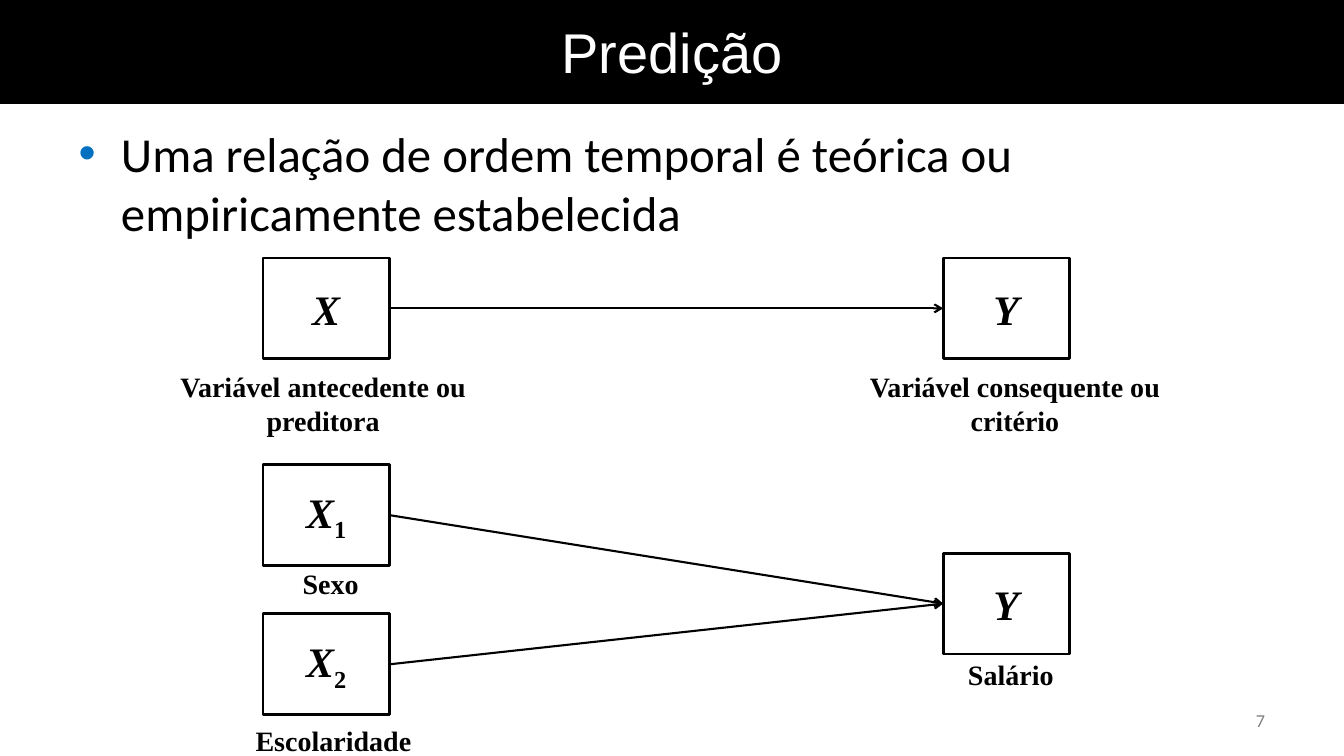
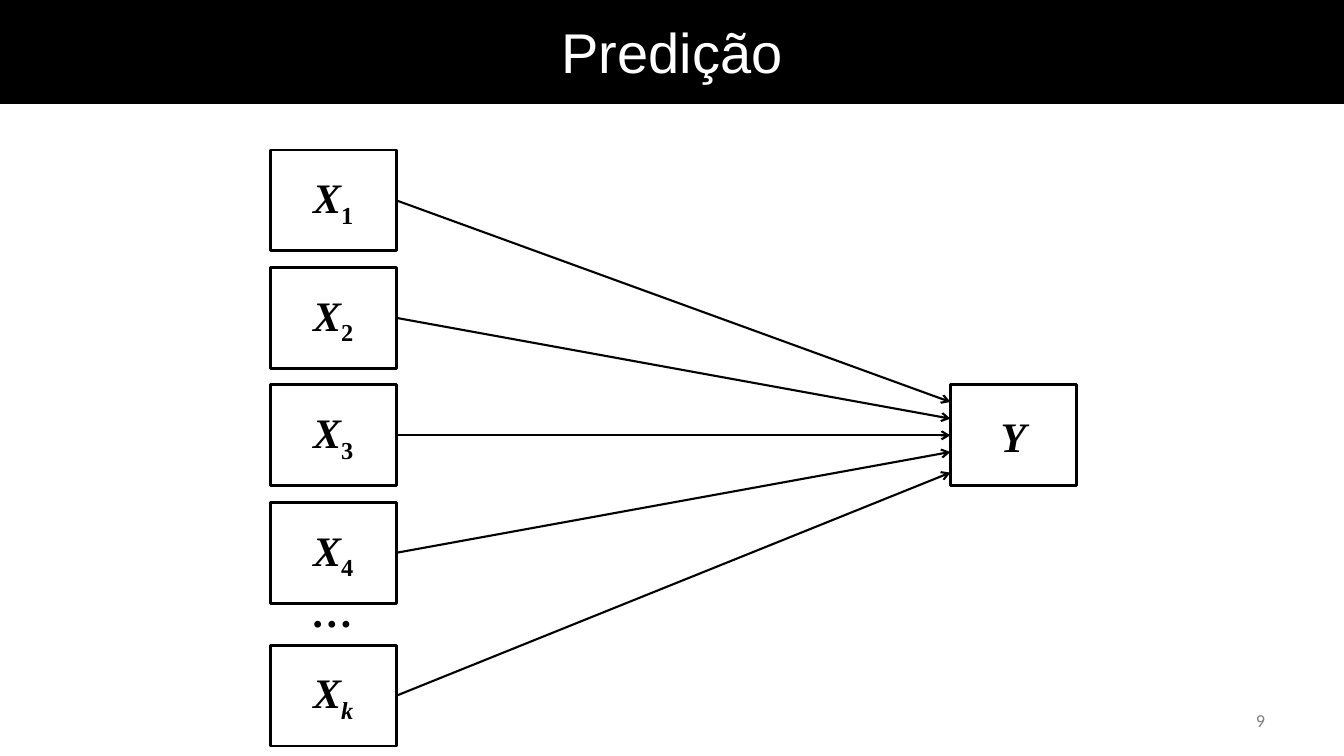
"""Build two slides about prediction: path diagrams of predictors and a criterion."""
from dataclasses import dataclass

import pptx
import pptx.dml.color
import pptx.enum.shapes
import pptx.enum.text
import pptx.oxml
import pptx.oxml.ns
import pptx.util

Cm = pptx.util.Cm
Pt = pptx.util.Pt
ALIGN = pptx.enum.text.PP_ALIGN
ANCHOR = pptx.enum.text.MSO_ANCHOR
NAMESPACE = pptx.oxml.ns.nsdecls("a")


@dataclass(frozen=True)
class Theme:
    """Colours, fonts and sizes that the slides share; lengths are in cm."""
    ink: str = "000000"
    paper: str = "FFFFFF"
    bullet: str = "0070C0"
    muted: str = "808080"
    title_font: str = "Arial"
    body_font: str = "Calibri"
    diagram_font: str = "Times New Roman"
    title_size: float = 40
    body_size: float = 34.9
    variable_size: float = 30
    label_size: float = 20
    number_size: float = 13
    box_line: float = 2
    arrow_line: float = 1.5
    slide_width: float = 33.87
    slide_height: float = 19.05
    band_height: float = 2.59
    box_width: float = 3.18
    box_height: float = 2.54


THEME = Theme()


def colour(code):
    """Turn a hex code into a colour."""
    return pptx.dml.color.RGBColor.from_string(code)


def format_run(run, font, size, code, bold=False, italic=False):
    """Give a run its font, size, colour and style."""
    run.font.name = font
    run.font.size = Pt(size)
    run.font.color.rgb = colour(code)
    run.font.bold = bold
    run.font.italic = italic


def format_variable(run, italic=True):
    """Give a run the style of a variable name."""
    format_run(run, THEME.diagram_font, THEME.variable_size, THEME.ink, True, italic)


def add_rectangle(slide, left, top, width, height, fill=None):
    """Add an outlined rectangle with centred text, filled if a colour is given."""
    shape = slide.shapes.add_shape(pptx.enum.shapes.MSO_SHAPE.RECTANGLE,
                                   Cm(left), Cm(top), Cm(width), Cm(height))
    shape.shadow.inherit = False
    if fill:
        shape.fill.solid()
        shape.fill.fore_color.rgb = colour(fill)
    else:
        shape.fill.background()
    shape.line.color.rgb = colour(THEME.ink)
    shape.line.width = Pt(THEME.box_line)
    shape.text_frame.vertical_anchor = ANCHOR.MIDDLE
    shape.text_frame.paragraphs[0].alignment = ALIGN.CENTER
    return shape


def add_text(slide, text, left, top, width, height, align=ALIGN.CENTER,
             anchor=ANCHOR.MIDDLE, wide_inset=False):
    """Add a wrapping text box and return its paragraph."""
    frame = slide.shapes.add_textbox(Cm(left), Cm(top), Cm(width), Cm(height)).text_frame
    frame.word_wrap = True
    frame.vertical_anchor = anchor
    if wide_inset:
        frame.margin_left = frame.margin_right = Cm(0.28)
        frame.margin_top = frame.margin_bottom = Cm(0.15)
    frame.text = text
    frame.paragraphs[0].alignment = align
    return frame.paragraphs[0]


def add_bullet(slide, text):
    """Add the bulleted statement below the title band."""
    paragraph = add_text(slide, text, 1.7, 2.97, 31.12, 15.67, ALIGN.LEFT,
                         ANCHOR.TOP, wide_inset=True)
    paragraph.space_before = Pt(7.2)
    format_run(paragraph.runs[0], THEME.body_font, THEME.body_size, THEME.ink)
    properties = paragraph._p.get_or_add_pPr()
    properties.set("marL", str(Cm(1.07)))
    properties.set("indent", str(-Cm(1.07)))
    for xml in (f'<a:buClr {NAMESPACE}><a:srgbClr val="{THEME.bullet}"/></a:buClr>',
                f'<a:buFont {NAMESPACE} typeface="Arial"/>',
                f'<a:buChar {NAMESPACE} char="•"/>'):
        properties.append(pptx.oxml.parse_xml(xml))


def add_label(slide, text, left, top, width, height):
    """Add a bold caption that explains a variable."""
    paragraph = add_text(slide, text, left, top, width, height)
    format_run(paragraph.runs[0], THEME.diagram_font, THEME.label_size, THEME.ink, True)


def add_variable(slide, left, top, name, index=""):
    """Add a variable box; numeric indices are upright, letters are italic."""
    box = add_rectangle(slide, left, top, THEME.box_width, THEME.box_height)
    paragraph = box.text_frame.paragraphs[0]
    paragraph.text = name
    format_variable(paragraph.runs[0])
    if index:
        subscript = paragraph.add_run()
        subscript.text = index
        format_variable(subscript, italic=not index.isdigit())
        subscript.font._element.set("baseline", "-25000")
    return box


def add_arrow(slide, source, target, offset=0):
    """Draw an arrow to the target's left edge, offset cm below its middle."""
    end_y = target.top + target.height // 2 + Cm(offset)
    arrow = slide.shapes.add_connector(
        pptx.enum.shapes.MSO_CONNECTOR.STRAIGHT,
        source.left + source.width, source.top + source.height // 2, target.left, end_y)
    arrow.line.color.rgb = colour(THEME.ink)
    arrow.line.width = Pt(THEME.arrow_line)
    arrow.line._get_or_add_ln().append(
        pptx.oxml.parse_xml(f'<a:tailEnd {NAMESPACE} type="arrow"/>'))
    arrow._element.spPr.append(pptx.oxml.parse_xml(f"<a:effectLst {NAMESPACE}/>"))


def add_base_slide(presentation, title, number):
    """Add a blank slide with the title band and the page number."""
    slide = presentation.slides.add_slide(presentation.slide_layouts[6])
    band = add_rectangle(slide, 0, 0, THEME.slide_width, THEME.band_height, THEME.ink)
    paragraph = band.text_frame.paragraphs[0]
    paragraph.text = title
    format_run(paragraph.runs[0], THEME.title_font, THEME.title_size, THEME.paper)
    paragraph = add_text(slide, str(number), 24.26, 17.65, 7.9, 1.02, ALIGN.RIGHT,
                         wide_inset=True)
    format_run(paragraph.runs[0], THEME.body_font, THEME.number_size, THEME.muted)
    return slide


def build_simple_prediction(presentation):
    """Show one predictor, then two predictors of salary."""
    slide = add_base_slide(presentation, "Predição", 7)
    add_bullet(slide, "Uma relação de ordem temporal é teórica ou "
                      "empiricamente estabelecida")
    predictor_left, criterion_left = 6.63, 23.77

    predictor = add_variable(slide, predictor_left, 6.5, "X")
    criterion = add_variable(slide, criterion_left, 6.5, "Y")
    add_arrow(slide, predictor, criterion)
    add_label(slide, "Variável antecedente ou preditora", 3.84, 9.32, 8.61, 1.7)
    add_label(slide, "Variável consequente ou critério", 21.11, 9.32, 8.94, 1.7)

    salary = add_variable(slide, criterion_left, 13.94, "Y")
    add_label(slide, "Salário", 22.3, 16.48, 6.35, 1)
    for index, top, label, label_left, label_top in (
            ("1", 11.71, "Sexo", 5.16, 14.1),
            ("2", 15.47, "Escolaridade", 5.23, 18.06)):
        predictor = add_variable(slide, predictor_left, top, "X", index)
        add_arrow(slide, predictor, salary)
        add_label(slide, label, label_left, label_top, 6.35, 1.19)


def build_multiple_prediction(presentation):
    """Show k predictors whose arrows fan in to one criterion."""
    slide = add_base_slide(presentation, "Predição", 9)
    left, first_top, pitch, last_top = 6.81, 3.78, 2.96, 16.26
    criterion = add_variable(slide, 23.95, first_top + 2 * pitch, "Y")
    tops = [first_top + row * pitch for row in range(4)] + [last_top]
    offsets = (-0.84, -0.42, 0, 0.42, 0.94)
    for index, top, offset in zip("1234k", tops, offsets):
        add_arrow(slide, add_variable(slide, left, top, "X", index), criterion, offset)
    ellipsis = add_text(slide, "…", left, 15.09, THEME.box_width, 0.58)
    format_variable(ellipsis.runs[0])


def main():
    """Build and save the presentation."""
    presentation = pptx.Presentation()
    presentation.slide_width = Cm(THEME.slide_width)
    presentation.slide_height = Cm(THEME.slide_height)
    build_simple_prediction(presentation)
    build_multiple_prediction(presentation)
    presentation.save("out.pptx")


main()
